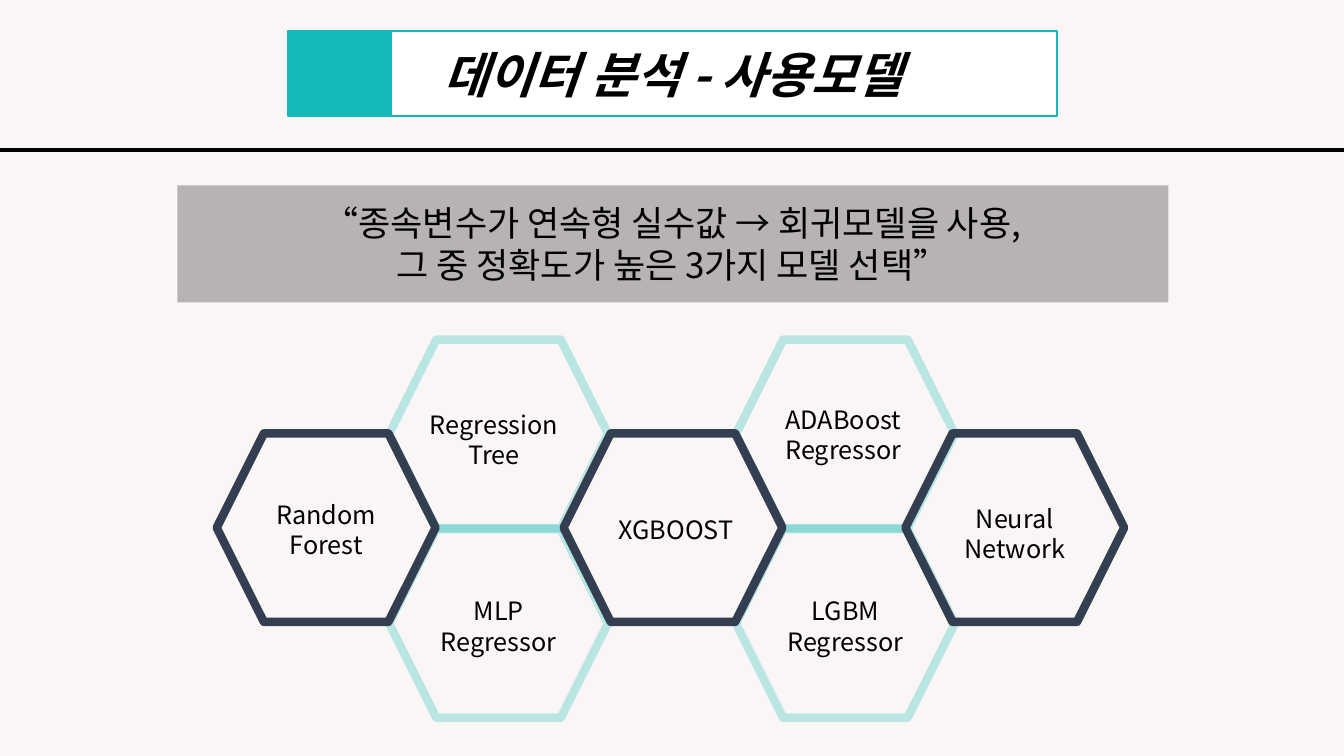
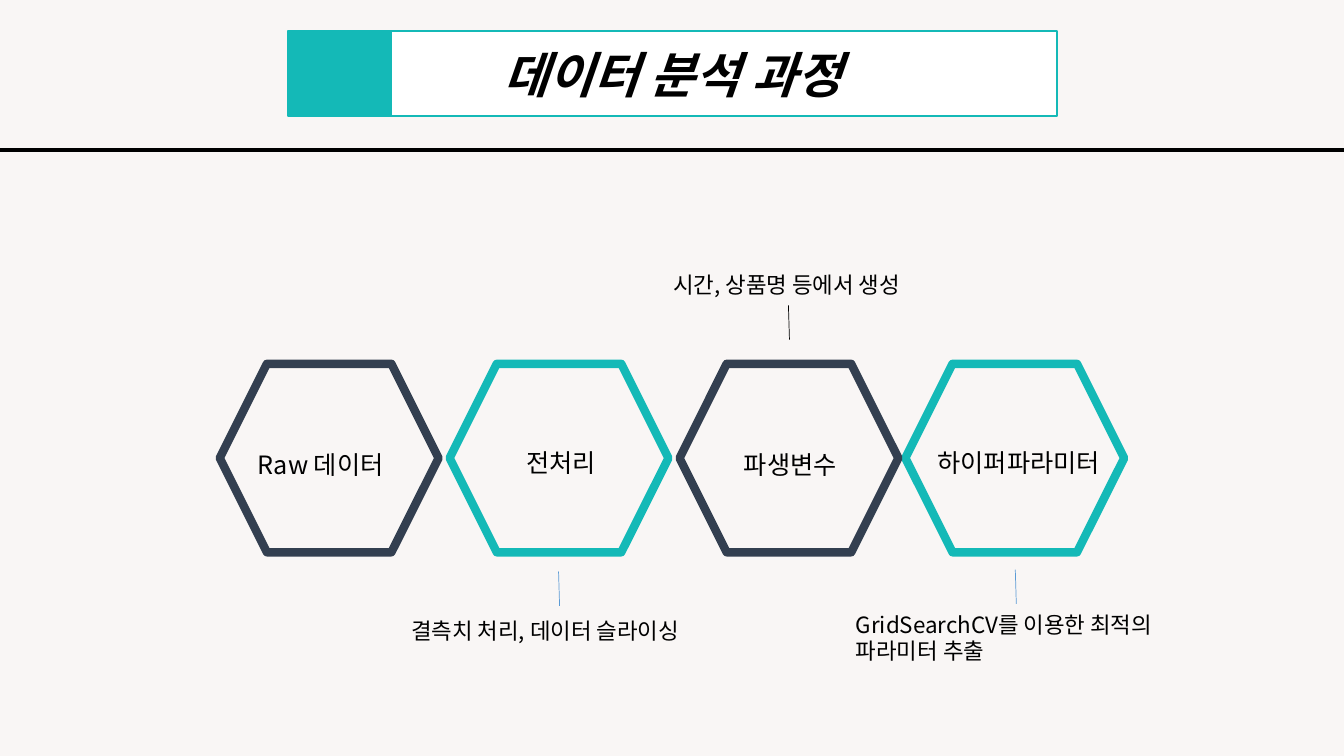
"""Builds two slides on the models and the steps of a data analysis."""
from lxml.etree import SubElement
from pptx import Presentation
from pptx.dml.color import RGBColor
from pptx.enum.shapes import MSO_CONNECTOR as Connector, MSO_SHAPE as Shape
from pptx.enum.text import MSO_ANCHOR as Anchor, MSO_AUTO_SIZE as AutoSize, PP_ALIGN as Align
from pptx.oxml.ns import qn
from pptx.util import Pt

PX = 9144
WIDTH, HEIGHT = 1333, 750
FONT = "Noto Sans CJK KR"
COLORS = {"page": "F9F6F5", "white": "FFFFFF", "black": "000000", "teal": "14B9B7",
          "navy": "333F50", "gray": "767171", "blue": "5B9BD5"}

BANNER = (286, 31, 762, 84)
BANNER_BLOCK = (286, 31, 102, 84)
RULE_Y = 149
HEX_W, HEX_H = 217, 187
LABEL_W = 161

MODELS_TITLE = "데이터 분석 - 사용모델"
QUOTE_BAND = (176, 184, 983, 116)
QUOTE_BOX = (202, 195, 930, 94)
QUOTE = ["“종속변수가 연속형 실수값 → 회귀모델을 사용,", "그 중 정확도가 높은 3가지 모델 선택”"]
CANDIDATE_LEFTS, CANDIDATE_TOPS = (386, 730), (337, 525)
CHOSEN_LEFTS, CHOSEN_TOP = (215, 559, 898), 430
MODELS = [
    (["Random", "Forest"], (243, 490, LABEL_W, 71)),
    (["Regression Tree"], (404, 401, 172, 71)),
    (["MLP", "Regressor"], (414, 586, LABEL_W, 71)),
    (["XGBOOST"], (590, 505, LABEL_W, 40)),
    (["ADABoost", "Regressor"], (756, 396, LABEL_W, 71)),
    (["LGBM", "Regressor"], (758, 586, LABEL_W, 71)),
    (["Neural Network"], (926, 494, LABEL_W, 71)),
]

STEPS_TITLE = "데이터 분석 과정"
STEPS_TOP = 361
STEPS = [
    ("Raw 데이터", 218, "navy", (246, 441, LABEL_W, 40)),
    ("전처리", 446, "teal", (512, 439, LABEL_W, 40)),
    ("파생변수", 674, "navy", (728, 441, LABEL_W, 40)),
    ("하이퍼파라미터", 898, "teal", (920, 439, 203, 40)),
]
NOTES = [
    ("결측치 처리, 데이터 슬라이싱", (398, 607, 313, 37), (554, 567), "blue"),
    ("시간, 상품명 등에서 생성", (658, 264, 250, 37), (782, 303), "black"),
    ("GridSearchCV를 이용한 최적의 파라미터 추출", (839, 601, 337, 64), (1007, 565), "blue"),
]
LEADER_DX, LEADER_DY = 1, 34


def emu(*lengths):
    return [length * PX for length in lengths]


def color(name):
    return RGBColor.from_string(COLORS[name])


def set_opacity(fill_parent, percent):
    rgb = next(fill_parent.iter(qn("a:srgbClr")))
    SubElement(rgb, qn("a:alpha")).set("val", str(percent * 1000))


def add_block(slide, box, kind=Shape.RECTANGLE, fill=None, line=None, width=1, opacity=100):
    block = slide.shapes.add_shape(kind, *emu(*box))
    block.shadow.inherit = False
    if fill:
        block.fill.solid()
        block.fill.fore_color.rgb = color(fill)
    else:
        block.fill.background()
    if line:
        block.line.color.rgb = color(line)
        block.line.width = Pt(width)
    else:
        block.line.fill.background()
    if opacity < 100:
        set_opacity(block.element.spPr, opacity)
    return block


def add_hexagon(slide, left, top, line, opacity=100):
    add_block(slide, (left, top, HEX_W, HEX_H), Shape.HEXAGON, line=line, width=6, opacity=opacity)


def add_line(slide, start, end, line, width):
    rule = slide.shapes.add_connector(Connector.STRAIGHT, *emu(*start, *end))
    rule.line.color.rgb = color(line)
    rule.line.width = Pt(width)
    SubElement(rule.element.spPr, qn("a:effectLst"))


def write(frame, lines, size=18, align=Align.CENTER, bold=False, italic=False):
    frame.word_wrap = True
    for index, text in enumerate(lines):
        paragraph = frame.add_paragraph() if index else frame.paragraphs[0]
        paragraph.alignment = align
        run = paragraph.add_run()
        run.text = text
        font = run.font
        font.size, font.bold, font.italic, font.name = Pt(size), bold, italic, FONT
        font.color.rgb = color("black")
        SubElement(run._r.get_or_add_rPr(), qn("a:ea")).set("typeface", FONT)


def add_text(slide, box, lines, **style):
    frame = slide.shapes.add_textbox(*emu(*box)).text_frame
    write(frame, lines, **style)
    frame.auto_size = AutoSize.SHAPE_TO_FIT_TEXT


def add_titled_slide(deck, title):
    slide = deck.slides.add_slide(deck.slide_layouts[6])
    slide.background.fill.solid()
    slide.background.fill.fore_color.rgb = color("page")
    banner = add_block(slide, BANNER, fill="white", line="teal", width=1.5)
    banner.text_frame.vertical_anchor = Anchor.MIDDLE
    write(banner.text_frame, [title], size=35, bold=True, italic=True)
    add_line(slide, (0, RULE_Y), (WIDTH, RULE_Y), "black", 3)
    add_block(slide, BANNER_BLOCK, fill="teal", line="teal")
    return slide


def build_models(deck):
    slide = add_titled_slide(deck, MODELS_TITLE)
    for left in CANDIDATE_LEFTS:
        for top in CANDIDATE_TOPS:
            add_hexagon(slide, left, top, "teal", opacity=27)
    for left in CHOSEN_LEFTS:
        add_hexagon(slide, left, CHOSEN_TOP, "navy")
    for lines, box in MODELS:
        add_text(slide, box, lines)
    add_block(slide, QUOTE_BAND, fill="gray", opacity=50)
    add_text(slide, QUOTE_BOX, QUOTE, size=25)


def build_steps(deck):
    slide = add_titled_slide(deck, STEPS_TITLE)
    for line in ("teal", "navy"):
        for _, left, step_line, _ in STEPS:
            if step_line == line:
                add_hexagon(slide, left, STEPS_TOP, line)
    for step, _, _, box in STEPS:
        add_text(slide, box, [step], align=Align.LEFT)
    for note, box, (x, y), line in NOTES:
        add_line(slide, (x, y), (x + LEADER_DX, y + LEADER_DY), line, 0.5)
        add_text(slide, box, [note], size=16, align=Align.LEFT)


def main():
    deck = Presentation()
    deck.slide_width, deck.slide_height = emu(WIDTH, HEIGHT)
    build_models(deck)
    build_steps(deck)
    deck.save("out.pptx")


if __name__ == "__main__":
    main()
